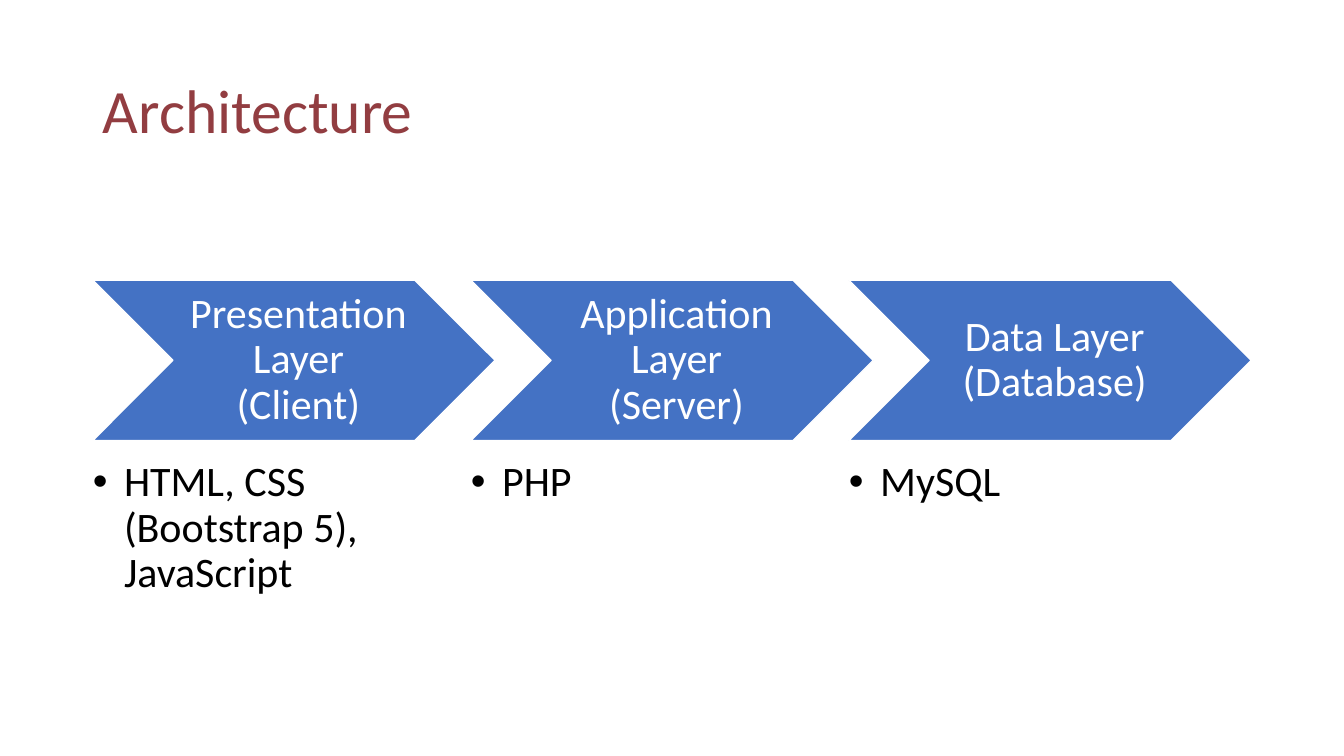
import pptx
import pptx.dml.color
import pptx.enum.shapes
import pptx.enum.text
import pptx.oxml
import pptx.oxml.ns
import pptx.util
from pptx.util import Inches

LAYERS = [
    ("Presentation Layer (Client)", "HTML, CSS (Bootstrap 5), JavaScript"),
    ("Application Layer (Server)", "PHP"),
    ("Data Layer (Database)", "MySQL"),
]
LEFT, PITCH = 0.92, 3.75


def colour(value):
    return pptx.dml.color.RGBColor.from_string(value)


class ArchitectureSlide:
    font = "Calibri"
    heading, accent, white, black = "923D41", "4472C4", "FFFFFF", "000000"

    def __init__(self, deck, layout):
        self.slide = deck.slides.add_slide(layout)

    def set_text(self, shape, text, size, ink, align, anchor, insets):
        frame = shape.text_frame
        frame.text = text
        frame.word_wrap = True
        frame.auto_size = pptx.enum.text.MSO_AUTO_SIZE.NONE
        frame.vertical_anchor = anchor
        (frame.margin_left, frame.margin_top,
         frame.margin_right, frame.margin_bottom) = map(Inches, insets)
        paragraph = frame.paragraphs[0]
        paragraph.alignment = align
        paragraph.line_spacing = 0.9
        paragraph.space_before = pptx.util.Pt(0)
        font = paragraph.runs[0].font
        font.name, font.size, font.bold = self.font, pptx.util.Pt(size), False
        font.color.rgb = colour(ink)
        return paragraph

    def place(self, shape, left, top, width, height):
        shape.left, shape.top = Inches(left), Inches(top)
        shape.width, shape.height = Inches(width), Inches(height)

    def title(self, text):
        heading = self.slide.shapes.title
        self.place(heading, LEFT, 0.4, 11.5, 1.45)
        self.set_text(heading, text, 44, self.heading, pptx.enum.text.PP_ALIGN.LEFT,
                      pptx.enum.text.MSO_ANCHOR.MIDDLE, (0.1, 0.05, 0.1, 0.05))

    def chevron(self, text, left):
        layer = self.slide.shapes.add_shape(
            pptx.enum.shapes.MSO_SHAPE.CHEVRON,
            Inches(left), Inches(2.78), Inches(3.99), Inches(1.59))
        layer.shadow.inherit = False
        layer.fill.solid()
        layer.fill.fore_color.rgb = colour(self.accent)
        layer.line.color.rgb = colour(self.white)
        layer.line.width = pptx.util.Pt(1)
        self.set_text(layer, text, 30, self.white, pptx.enum.text.PP_ALIGN.CENTER,
                      pptx.enum.text.MSO_ANCHOR.MIDDLE, (0.15, 0.04, 0.06, 0.04))

    def bullet(self, technology, text, left):
        self.place(technology, left, 4.57, 3.19, 1.4)
        paragraph = self.set_text(technology, text, 30, self.black,
                                  pptx.enum.text.PP_ALIGN.LEFT,
                                  pptx.enum.text.MSO_ANCHOR.TOP, (0, 0, 0, 0))
        properties = paragraph._p.get_or_add_pPr()
        properties.set("marL", str(Inches(0.31)))
        properties.set("indent", str(Inches(-0.31)))
        namespace = pptx.oxml.ns.nsdecls("a")
        for mark in ('buFont {} typeface="Arial"', 'buChar {} char="•"'):
            properties.append(pptx.oxml.parse_xml(f"<a:{mark.format(namespace)}/>"))


def main():
    deck = pptx.Presentation()
    deck.slide_width, deck.slide_height = Inches(13.33), Inches(7.5)
    architecture = ArchitectureSlide(deck, deck.slide_layouts.get_by_name("Comparison"))
    architecture.title("Architecture")
    technologies = list(architecture.slide.placeholders)[1:]
    for index, (layer, technology) in enumerate(LAYERS):
        left = LEFT + index * PITCH
        architecture.chevron(layer, left)
        architecture.bullet(technologies[index], technology, left)
    for unused in technologies[len(LAYERS):]:
        unused.element.getparent().remove(unused.element)
    deck.save("out.pptx")


if __name__ == "__main__":
    main()
